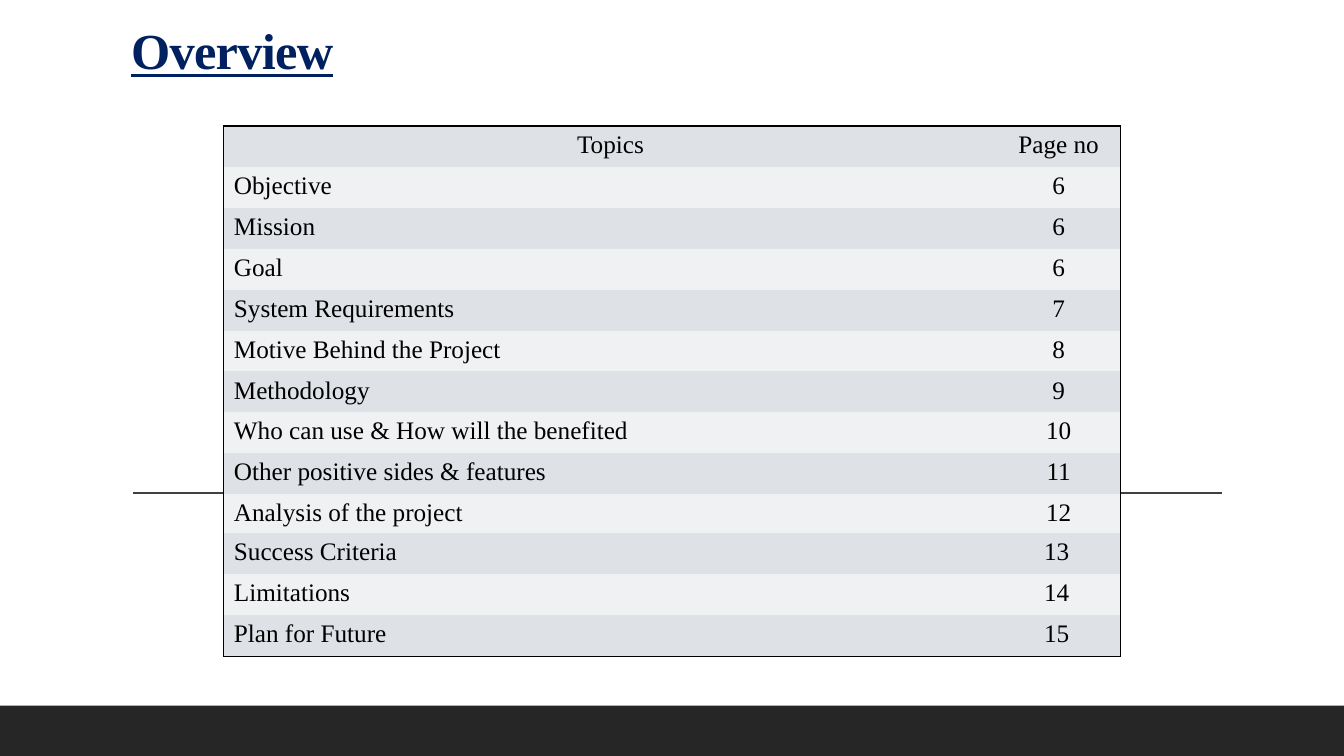
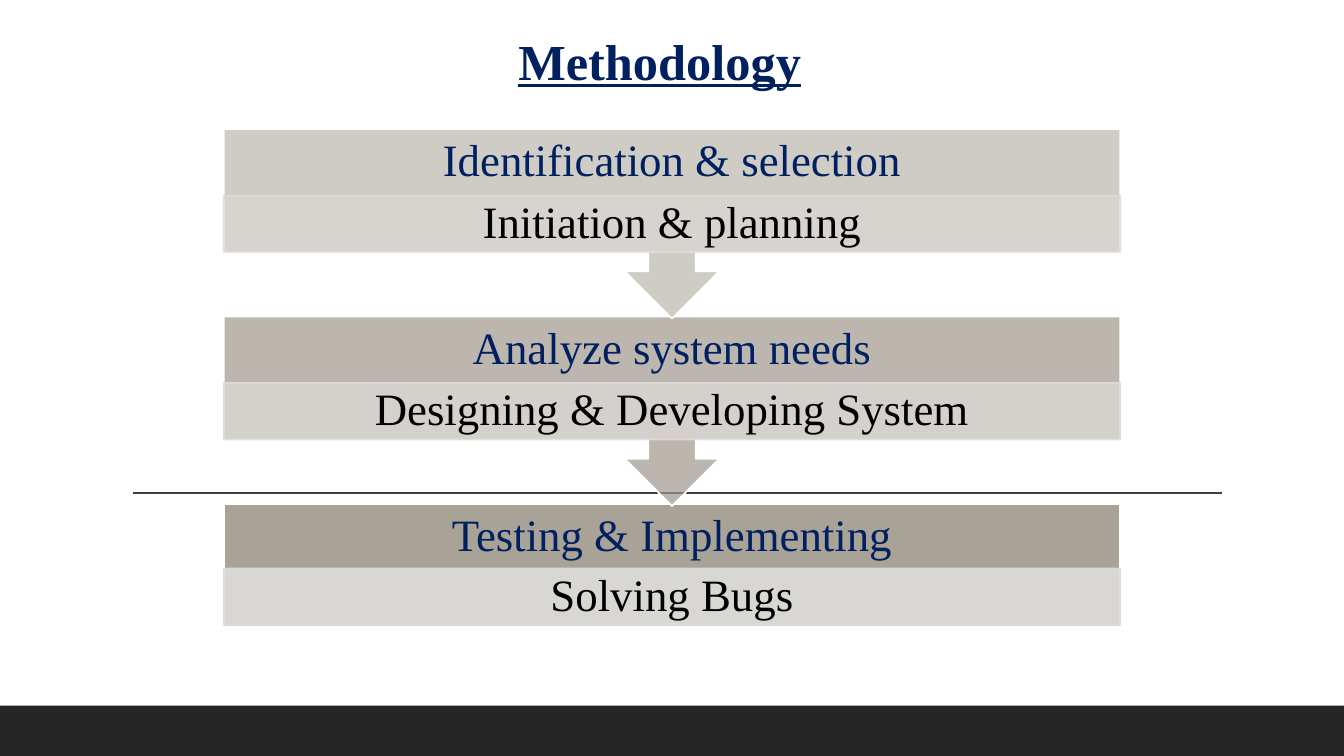
"""Build a two-slide deck with an overview table and a methodology flow."""
from dataclasses import dataclass
from typing import Any

from lxml.etree import SubElement
from pptx import Presentation
from pptx.dml.color import RGBColor
from pptx.enum.shapes import MSO_CONNECTOR, MSO_SHAPE
from pptx.enum.text import MSO_ANCHOR, MSO_AUTO_SIZE, PP_ALIGN
from pptx.oxml.ns import qn
from pptx.util import Inches, Pt

COLORS = {
    "navy": "002060", "black": "000000", "white": "FFFFFF",
    "band": "262626", "rule": "404040",
    "row_dark": "DEE1E6", "row_light": "EFF1F3",
    "stage": "A0988C", "detail": "DFDDDA",
}
FONT = "Times New Roman"
TITLE_FONT = {"name": FONT, "size": Pt(36), "bold": True, "underline": True}
TABLE_FONT = {"name": FONT, "size": Pt(18), "bold": False}
FLOW_FONT = {"name": FONT, "size": Pt(32)}
FLOW_FRAME = {
    "word_wrap": True, "vertical_anchor": MSO_ANCHOR.MIDDLE,
    "margin_left": Inches(0.25), "margin_right": Inches(0.25),
    "margin_top": Inches(0.04), "margin_bottom": Inches(0.04),
}
CONTENT_LEFT, CONTENT_WIDTH = 2.22, 8.89
STAGE_TOP, STAGE_PITCH = 1.28, 1.86
HEADING_HEIGHT, DETAIL_HEIGHT = 0.66, 0.56


@dataclass(frozen=True)
class Title:
    text: str
    box: tuple[float, float, float, float]
    anchor: MSO_ANCHOR
    line_spacing: float
    tracking: int


@dataclass(frozen=True)
class TopicBlock:
    top: float
    height: float
    page_width: float
    rows: tuple[tuple[str, str], ...]
    has_header: bool


@dataclass(frozen=True)
class Stage:
    heading: str
    detail: str
    opacity: int
    outline: MSO_SHAPE
    height: float
    detail_offset: float


TITLES = (
    Title("Overview", (1.2, 0.19, 2.3, 0.66), MSO_ANCHOR.BOTTOM, 0.9, -50),
    Title("Methodology", (5.04, 0.21, 3.25, 0.77), MSO_ANCHOR.MIDDLE, 1.0, 0),
)
TOPIC_BLOCKS = (
    TopicBlock(1.25, 4.06, 1.22, (
        ("Topics", "Page no"),
        ("Objective", "6"),
        ("Mission", "6"),
        ("Goal", "6"),
        ("System Requirements", "7"),
        ("Motive Behind the Project", "8"),
        ("Methodology", "9"),
        ("Who can use & How will the benefited", "10"),
        ("Other positive sides & features", "11"),
        ("Analysis of the project", "12"),
    ), True),
    TopicBlock(5.29, 1.22, 1.26, (
        ("Success Criteria", "13"),
        ("Limitations", "14"),
        ("Plan for Future", "15"),
    ), False),
)
STAGES = (
    Stage("Identification & selection", "Initiation & planning", 50,
          MSO_SHAPE.UP_ARROW_CALLOUT, 1.88, 0.66),
    Stage("Analyze system needs", "Designing & Developing System", 70,
          MSO_SHAPE.UP_ARROW_CALLOUT, 1.88, 0.66),
    Stage("Testing & Implementing", "Solving Bugs", 90,
          MSO_SHAPE.RECTANGLE, 1.22, 0.64),
)


def rgb(color: str) -> RGBColor:
    return RGBColor.from_string(COLORS[color])


def apply_format(target: Any, values: dict[str, Any]) -> None:
    for attribute, value in values.items():
        setattr(target, attribute, value)


def set_opacity(properties: Any, percent: int) -> None:
    color = properties.find(qn("a:solidFill")).find(qn("a:srgbClr"))
    SubElement(color, qn("a:alpha"), val=str(percent * 1000))


def write(frame: Any, text: str, font: dict[str, Any], color: str,
          align: PP_ALIGN, line_spacing: float = 1.0) -> Any:
    paragraph = frame.paragraphs[0]
    paragraph.alignment = align
    paragraph.line_spacing = line_spacing
    run = paragraph.add_run()
    run.text = text
    apply_format(run.font, font)
    run.font.color.rgb = rgb(color)
    return run


def add_block(slide: Any, kind: MSO_SHAPE, box: tuple[float, ...], fill: str,
              opacity: int = 100, line: str = "", line_opacity: int = 100) -> Any:
    block = slide.shapes.add_shape(kind, *map(Inches, box))
    block.shadow.inherit = False
    block.fill.solid()
    block.fill.fore_color.rgb = rgb(fill)
    if opacity < 100:
        set_opacity(block.fill._xPr, opacity)
    if line:
        block.line.color.rgb = rgb(line)
        block.line.width = Pt(1.25)
        if line_opacity < 100:
            set_opacity(block.line._ln, line_opacity)
    else:
        block.line.fill.background()
    return block


def add_base(deck: Any, title: Title) -> Any:
    slide = deck.slides.add_slide(deck.slide_layouts[5])
    add_block(slide, MSO_SHAPE.RECTANGLE, (0, 7, 13.33, 0.5), "band")
    rule = slide.shapes.add_connector(
        MSO_CONNECTOR.STRAIGHT, *map(Inches, (1.32, 4.89, 12.12, 4.89)))
    rule.line.color.rgb = rgb("rule")
    rule.line.width = Pt(1)
    SubElement(rule._element.spPr, qn("a:effectLst"))

    heading = slide.shapes.title
    edges = ("left", "top", "width", "height")
    apply_format(heading, dict(zip(edges, map(Inches, title.box))))
    apply_format(heading.text_frame, {
        "auto_size": MSO_AUTO_SIZE.NONE, "word_wrap": True,
        "vertical_anchor": title.anchor})
    run = write(heading.text_frame, title.text, TITLE_FONT, "navy",
                PP_ALIGN.LEFT, title.line_spacing)
    run.font._element.set("spc", str(title.tracking))
    return slide


def set_borders(cell: Any, borders: dict[str, bool]) -> None:
    properties = cell._tc.get_or_add_tcPr()
    for side, visible in borders.items():
        edge = SubElement(properties, qn(f"a:ln{side}"), w=str(Pt(1)))
        if visible:
            fill = SubElement(edge, qn("a:solidFill"))
            SubElement(fill, qn("a:srgbClr"), val=COLORS["black"])
        else:
            SubElement(edge, qn("a:noFill"))


def add_topics(slide: Any, block: TopicBlock) -> None:
    count = len(block.rows)
    box = (CONTENT_LEFT, block.top, CONTENT_WIDTH, block.height)
    topics = slide.shapes.add_table(count, 2, *map(Inches, box)).table
    apply_format(topics, {"first_row": False, "horz_banding": False})
    widths = (CONTENT_WIDTH - block.page_width, block.page_width)
    for column, width in zip(topics.columns, widths):
        column.width = Inches(width)
    for row, entry in enumerate(block.rows):
        topics.rows[row].height = Inches(block.height / count)
        is_header = block.has_header and row == 0
        for column, text in enumerate(entry):
            cell = topics.cell(row, column)
            set_borders(cell, {"L": column == 0, "R": column == 1,
                               "T": is_header, "B": row == count - 1})
            cell.fill.solid()
            cell.fill.fore_color.rgb = rgb("row_light" if row % 2 else "row_dark")
            centred = is_header or column == 1
            write(cell.text_frame, text, TABLE_FONT, "black",
                  PP_ALIGN.CENTER if centred else PP_ALIGN.LEFT)


def add_stage(slide: Any, stage: Stage, top: float) -> None:
    body = add_block(slide, stage.outline,
                     (CONTENT_LEFT, top, CONTENT_WIDTH, stage.height),
                     "stage", stage.opacity, "white")
    if stage.outline == MSO_SHAPE.UP_ARROW_CALLOUT:
        body.rotation = 180
    heading = slide.shapes.add_textbox(
        *map(Inches, (CONTENT_LEFT, top, CONTENT_WIDTH, HEADING_HEIGHT)))
    detail = add_block(
        slide, MSO_SHAPE.RECTANGLE,
        (CONTENT_LEFT, top + stage.detail_offset, CONTENT_WIDTH, DETAIL_HEIGHT),
        "detail", stage.opacity, "detail", 90)
    for holder, text, color in ((heading, stage.heading, "navy"),
                                (detail, stage.detail, "black")):
        apply_format(holder.text_frame, FLOW_FRAME)
        write(holder.text_frame, text, FLOW_FONT, color, PP_ALIGN.CENTER, 0.9)


def main() -> None:
    deck = Presentation()
    apply_format(deck, {"slide_width": Inches(13.33), "slide_height": Inches(7.5)})
    overview, methodology = (add_base(deck, title) for title in TITLES)
    for block in TOPIC_BLOCKS:
        add_topics(overview, block)
    for index, stage in reversed(list(enumerate(STAGES))):
        add_stage(methodology, stage, STAGE_TOP + index * STAGE_PITCH)
    deck.save("out.pptx")


if __name__ == "__main__":
    main()
